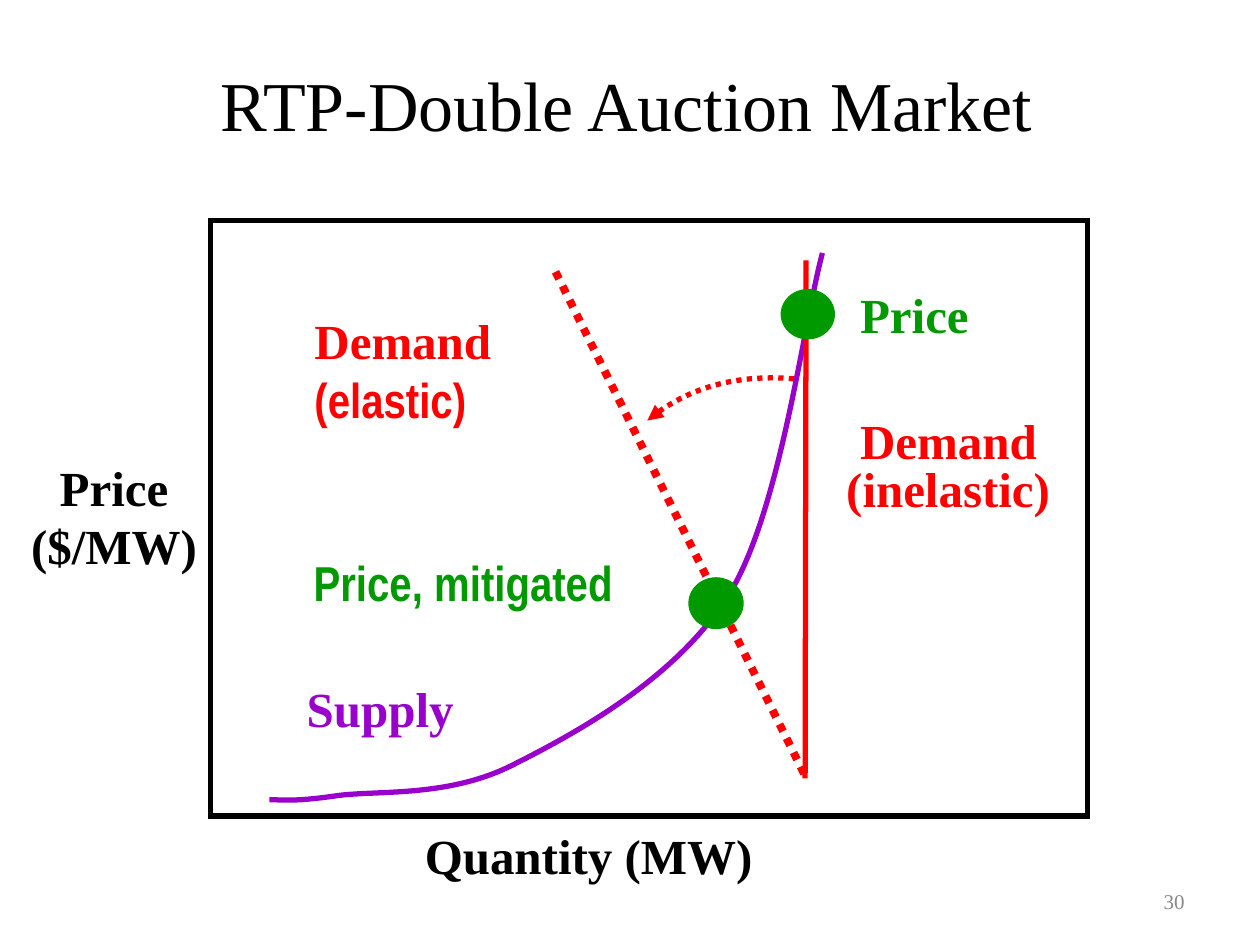
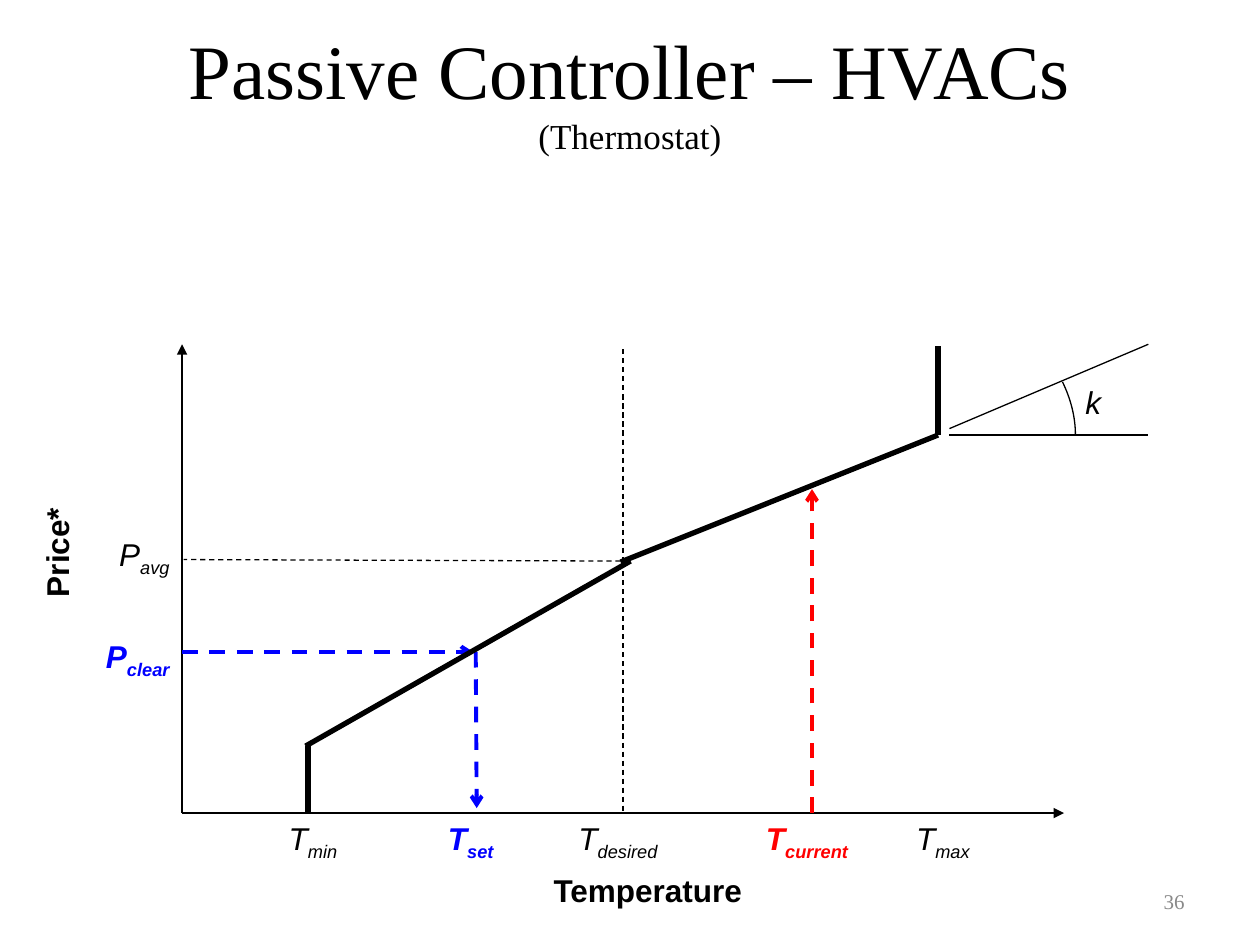
from dataclasses import dataclass, replace

import pptx
import pptx.dml.color
import pptx.enum.dml
import pptx.enum.shapes
import pptx.enum.text
import pptx.oxml
import pptx.oxml.ns
import pptx.util

Cm = pptx.util.Cm
ALIGN = pptx.enum.text.PP_ALIGN
ANCHOR = pptx.enum.text.MSO_ANCHOR
DASH = pptx.enum.dml.MSO_LINE.DASH
DOTS = pptx.enum.dml.MSO_LINE.ROUND_DOT

COLORS = {
    "ink": "000000",
    "demand": "FF0000",
    "supply": "9900CC",
    "price": "009900",
    "clearing": "0000FF",
    "page": "898989",
}
SERIF, SANS, NARROW = "Times New Roman", "Arial", "Arial Narrow"


@dataclass(frozen=True)
class Box:
    """A rectangle in centimetres."""
    left: float
    top: float
    width: float
    height: float

    def inner(self, left, top, width, height):
        """Return a box placed relative to this one."""
        return Box(self.left + left, self.top + top, width, height)

    def point(self, place):
        """Return a relative point as slide lengths."""
        return Cm(self.left + place[0]), Cm(self.top + place[1])

    def lengths(self):
        """Return the four sides as slide lengths."""
        return Cm(self.left), Cm(self.top), Cm(self.width), Cm(self.height)


@dataclass(frozen=True)
class Style:
    """The look of a run of text."""
    font: str
    size: float
    color: str = "ink"
    bold: bool = False
    italic: bool = False
    subscript: bool = False


PAGE_BOX = Box(18.21, 17.65, 5.92, 1.02)
CURVE_LABEL = Style(SERIF, 28, bold=True)
AXIS_TITLE = Style(SANS, 18, bold=True)
SYMBOL = Style(SANS, 18, italic=True)


def rgb(name):
    """Return a named colour."""
    return pptx.dml.color.RGBColor.from_string(COLORS[name])


def element(tag, **attributes):
    """Return a new drawing element."""
    made = pptx.oxml.parse_xml(f'<{tag} {pptx.oxml.ns.nsdecls("a")}/>')
    for name, value in attributes.items():
        made.set(name, value)
    return made


def add_text(slide, box, lines, align=ALIGN.LEFT, anchor=ANCHOR.TOP,
             spacing=None, wrap=False, grow=True, rotation=0):
    """Write lines, each a list of (text, style) runs, into a box."""
    holder = slide.shapes.add_textbox(*box.lengths())
    holder.rotation = rotation
    frame = holder.text_frame
    frame.word_wrap = wrap
    frame.vertical_anchor = anchor
    sizing = pptx.enum.text.MSO_AUTO_SIZE
    frame.auto_size = sizing.SHAPE_TO_FIT_TEXT if grow else sizing.NONE
    for index, line in enumerate(lines):
        paragraph = frame.add_paragraph() if index else frame.paragraphs[0]
        paragraph.alignment = align
        if spacing:
            paragraph.line_spacing = spacing
        for text, style in line:
            run = paragraph.add_run()
            run.text = text
            run.font.name = style.font
            run.font.size = pptx.util.Pt(style.size)
            run.font.bold = style.bold
            run.font.italic = style.italic
            run.font.color.rgb = rgb(style.color)
            if style.subscript:
                run._r.get_or_add_rPr().set("baseline", "-25000")


def style_line(line, color, width, dash=None, head=None, tail=None):
    """Set the colour, width, dashes, corners and arrowheads of a line."""
    line.color.rgb = rgb(color)
    line.width = pptx.util.Pt(width)
    if dash:
        line.dash_style = dash
    outline = line._get_or_add_ln()
    outline.append(element("a:miter", lim="800000"))
    for tag, kind in (("a:headEnd", head), ("a:tailEnd", tail)):
        if kind:
            outline.append(element(tag, type=kind))


def add_line(slide, box, start, end, color="ink", width=0.75, **look):
    """Draw a straight line between two points of a box."""
    line = slide.shapes.add_connector(
        pptx.enum.shapes.MSO_CONNECTOR.STRAIGHT, *box.point(start), *box.point(end))
    style_line(line.line, color, width, **look)
    line._element.spPr.append(element("a:effectLst"))


def add_curve(slide, box, knots, color="ink", width=0.75, center=None, **look):
    """Draw joined cubic curves; an arc's frame reaches to its center."""
    start, *points = [box.point(knot) for knot in knots]
    reach = [box.point(center)] if center else []
    outline = slide.shapes.build_freeform(*start)
    outline.add_line_segments(points + reach, close=False)
    curve = outline.convert_to_shape()
    segments = list(curve._element.iter(pptx.oxml.ns.qn("a:lnTo")))
    for segment in segments[len(points):]:
        segment.getparent().remove(segment)
    for first in range(0, len(points), 3):
        bend = element("a:cubicBezTo")
        segments[first].addprevious(bend)
        for segment in segments[first:first + 3]:
            bend.append(segment[0])
            segment.getparent().remove(segment)
    curve.shadow.inherit = False
    curve.fill.background()
    style_line(curve.line, color, width, **look)


def add_preset(slide, box, kind, line_color, line_width, fill=None):
    """Draw a preset shape, filled or open."""
    preset = slide.shapes.add_shape(kind, *box.lengths())
    preset.shadow.inherit = False
    if fill:
        preset.fill.solid()
        preset.fill.fore_color.rgb = rgb(fill)
    else:
        preset.fill.background()
    style_line(preset.line, line_color, line_width)


def start_slide(deck, box, title_lines, number):
    """Add a slide with its title and page number."""
    slide = deck.slides.add_slide(deck.slide_layouts[6])
    add_text(slide, box, title_lines, ALIGN.CENTER, ANCHOR.MIDDLE, wrap=True, grow=False)
    add_text(slide, PAGE_BOX, [[(number, Style(SERIF, 12, "page"))]],
             ALIGN.RIGHT, ANCHOR.MIDDLE, wrap=True, grow=False)
    return slide


def draw_auction_curves(slide, box):
    """Draw the supply and demand curves with their clearing points."""
    shapes = pptx.enum.shapes.MSO_SHAPE
    supply = [(1.19, 11.68), (1.4, 11.68), (1.65, 11.73), (2.49, 11.61),
              (3.3, 11.48), (4.78, 11.66), (6.12, 10.97),
              (7.47, 10.29), (9.45, 9.19), (10.49, 7.49),
              (11.51, 5.77), (11.96, 2.08), (12.34, 0.66)]
    demand_shift = [(8.81, 4.04), (9.55, 3.4), (10.67, 3.1), (11.81, 3.2)]
    add_curve(slide, box, supply, "supply", 3)
    add_curve(slide, box, demand_shift, "demand", 3, center=(11.71, 5.97),
              dash=DOTS, head="triangle")
    add_line(slide, box, (6.96, 1.04), (11.99, 11.2), "demand", 4.5, dash=DOTS)
    add_line(slide, box, (12.01, 0.81), (11.99, 11.25), "demand", 3)
    for clearing in ((11.51, 1.4, 1.07, 0.99), (9.65, 7.21, 1.09, 1.02)):
        add_preset(slide, box.inner(*clearing), shapes.OVAL, "price", 0.75, "price")
    add_preset(slide, box, shapes.RECTANGLE, "ink", 3)


def label_auction(slide, box):
    """Name the curves, the clearing points and the axes."""
    demand = replace(CURVE_LABEL, color="demand")
    price = replace(CURVE_LABEL, color="price")
    add_text(slide, box.inner(1.85, 1.7, 4.2, 2.64),
             [[("Demand", demand)], [("(elastic)", replace(demand, font=NARROW))]])
    for place, text in (((12.85, 3.84, 4.2, 1.32), "Demand"),
                        ((12.57, 4.8, 4.75, 1.32), "(inelastic)")):
        add_text(slide, box.inner(*place), [[(text, demand)]],
                 anchor=ANCHOR.BOTTOM, spacing=0.9)
    centred = [
        ((1.6, 9.12, 3.65, 1.45), ["Supply"], replace(CURVE_LABEL, color="supply")),
        ((12.75, 1.17, 2.89, 1.45), ["Price"], price),
        ((1.73, 6.58, 6.73, 1.45), ["Price, mitigated"], replace(price, font=NARROW)),
        ((3.97, 12.07, 7.31, 1.45), ["Quantity (MW)"], CURVE_LABEL),
        ((-3.96, 4.65, 4.04, 2.64), ["Price", "($/MW)"], CURVE_LABEL),
    ]
    for place, texts, style in centred:
        add_text(slide, box.inner(*place), [[(text, style)] for text in texts], ALIGN.CENTER)


def draw_thermostat_response(slide, box):
    """Draw the axes, the response line, its slope angle and the readings."""
    base = box.height
    for end in ((box.width, base), (0, 0)):
        add_line(slide, box, (0, base), end, tail="triangle")
    for start, end in (((15.47, 1.7), (19.48, 0)), ((15.47, 1.83), (19.48, 1.83))):
        add_line(slide, box, start, end)
    add_curve(slide, box, [(17.75, 0.76), (17.91, 1.09), (18.01, 1.45), (18.01, 1.83)],
              center=(15.24, 1.83))
    guides = [((8.89, 4.57), (8.89, base)), ((8.84, 4.37), (0.03, 4.34)),
              ((8.89, 0.1), (8.89, 4.39))]
    for start, end in guides:
        add_line(slide, box, start, end, dash=DASH)
    readings = [((12.7, base), (12.7, 2.92), "demand"),
                ((0, 6.2), (5.87, 6.2), "clearing"),
                ((5.92, 6.2), (5.94, 9.35), "clearing")]
    for start, end, color in readings:
        add_line(slide, box, start, end, color, 2.25, dash=DASH, tail="arrow")
    response = [((2.54, base), (2.54, 8.1)), ((2.49, 8.1), (9.04, 4.37)),
                ((8.84, 4.39), (15.24, 1.83)), ((15.24, 1.83), (15.24, 0.03))]
    for start, end in response:
        add_line(slide, box, start, end, width=3)


def label_thermostat(slide, box):
    """Name the temperatures, prices, slope and axes."""
    width, height = 2.74, 1.12
    clearing = replace(SYMBOL, color="clearing", bold=True)
    current = replace(SYMBOL, color="demand", bold=True)
    temperatures = [("min", 2.64, SYMBOL), ("set", 5.82, clearing),
                    ("desired", 8.79, SYMBOL), ("current", 12.6, current),
                    ("max", 15.34, SYMBOL)]
    marks = [("T", index, center - width / 2, box.height, style, ALIGN.CENTER)
             for index, center, style in temperatures]
    marks += [("P", index, -width, top, style, ALIGN.RIGHT)
              for index, top, style in (("avg", 3.73, SYMBOL), ("clear", 5.77, clearing))]
    for letter, index, left, top, style, align in marks:
        add_text(slide, box.inner(left, top, width, height),
                 [[(letter, style), (index, replace(style, subscript=True))]],
                 align, wrap=True)
    add_text(slide, box.inner(17.96, 0.66, 0.81, 1.02), [[("k", SYMBOL)]])
    add_text(slide, box.inner(7.24, 10.49, 4.34, 1.02), [[("Temperature", AXIS_TITLE)]])
    add_text(slide, box.inner(-3.68, 3.68, 2.31, 1.02), [[("Price*", AXIS_TITLE)]],
             rotation=270)


def main():
    """Build both slides and save the deck."""
    deck = pptx.Presentation()
    deck.slide_width, deck.slide_height = Cm(25.4), Cm(19.05)

    auction = start_slide(deck, Box(1.35, 1.05, 22.56, 2.06),
                          [[("RTP-Double Auction Market", Style(SERIF, 40))]], "30")
    auction_plot = Box(4.24, 4.44, 17.68, 12.01)
    draw_auction_curves(auction, auction_plot)
    label_auction(auction, auction_plot)

    thermostat = start_slide(deck, Box(1.27, 0.22, 22.86, 3.18),
                             [[("Passive Controller – HVACs", Style(SERIF, 44))],
                              [("(Thermostat)", Style(SERIF, 20))]], "36")
    thermostat_plot = Box(3.67, 6.94, 17.78, 9.45)
    draw_thermostat_response(thermostat, thermostat_plot)
    label_thermostat(thermostat, thermostat_plot)

    deck.save("out.pptx")


if __name__ == "__main__":
    main()
